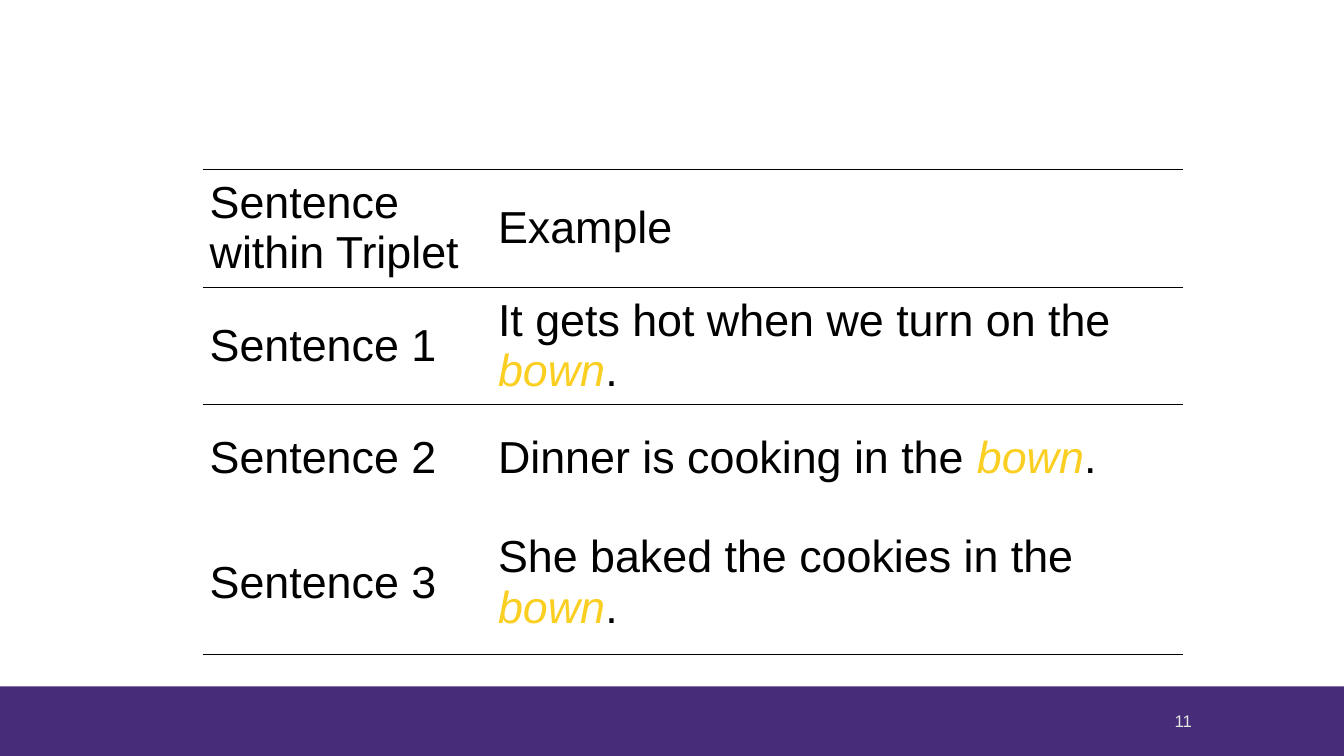
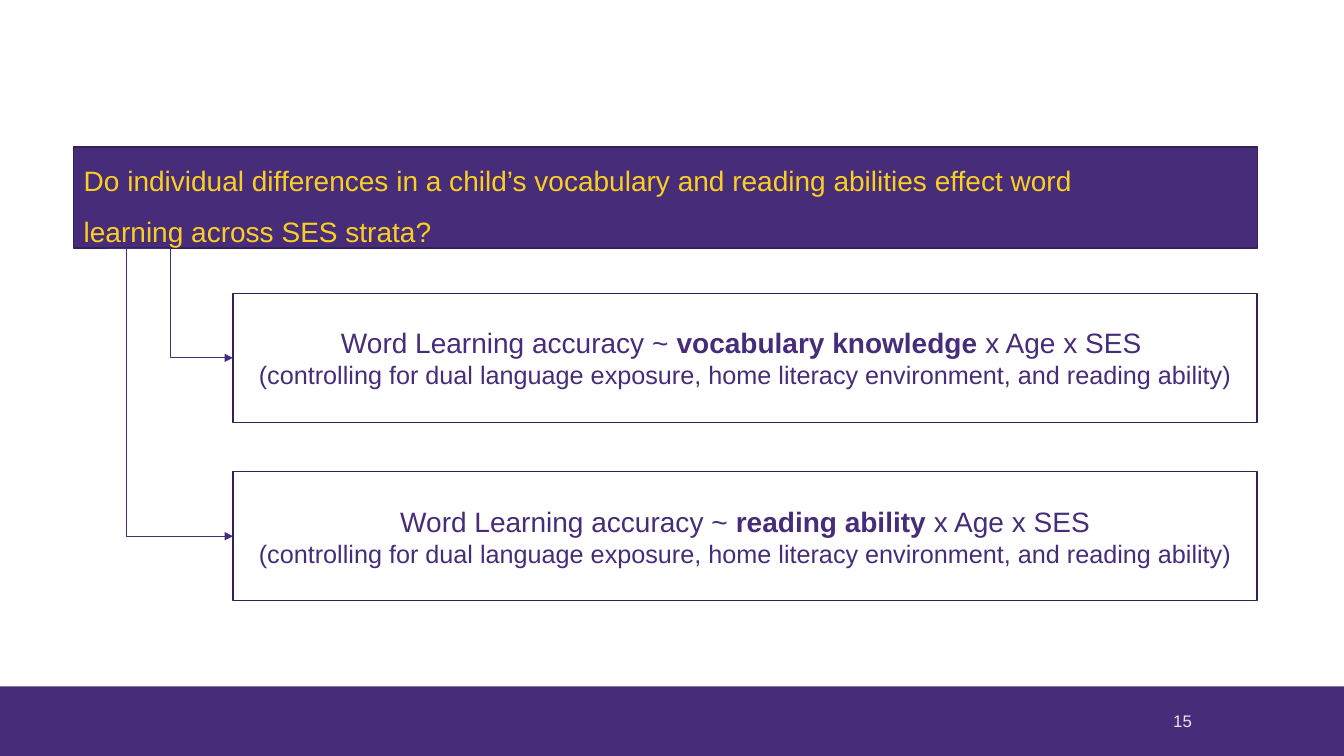
from dataclasses import dataclass

from pptx import Presentation
from pptx.dml.color import RGBColor
from pptx.enum import shapes, text
from pptx.oxml import parse_xml
from pptx.oxml.ns import nsdecls, qn
from pptx.util import Inches, Pt

PURPLE = RGBColor(0x46, 0x2C, 0x79)
DARK_PURPLE = RGBColor(0x34, 0x21, 0x5A)
GOLD = RGBColor(0xFB, 0xCF, 0x22)
PALE_GREY = RGBColor(0xE7, 0xE6, 0xE6)
BLACK = RGBColor(0, 0, 0)
WHITE = RGBColor(0xFF, 0xFF, 0xFF)

FONT = "Arial"
SLIDE_WIDTH, SLIDE_HEIGHT = 13.33, 7.5
BAND_TOP = 6.81
TITLE_ONLY, BLANK = 5, 6
NO_GRID_STYLE = "{2D5ABB26-0587-4C30-8999-92F81FD0307C}"


@dataclass
class Box:
    left: float
    top: float
    width: float
    height: float

    @property
    def right(self) -> float:
        return self.left + self.width

    @property
    def bottom(self) -> float:
        return self.top + self.height

    @property
    def middle(self) -> float:
        return self.top + self.height / 2

    def lengths(self) -> list:
        return [Inches(v) for v in (self.left, self.top, self.width, self.height)]


@dataclass
class Run:
    words: str
    size: float
    color: RGBColor
    bold: bool = False
    italic: bool = False


@dataclass
class Model:
    predictor: str
    ending: str
    drop: float  # horizontal place of the arrow's vertical part


# Shared drawing
def set_all(target, values: dict) -> None:
    for name, value in values.items():
        setattr(target, name, value)


def add_runs(paragraph, runs: list[Run]) -> None:
    for item in runs:
        run = paragraph.add_run()
        run.text = item.words
        set_all(run.font, {"name": FONT, "size": Pt(item.size),
                           "bold": item.bold, "italic": item.italic})
        run.font.color.rgb = item.color


def style_shape(shape, fill: RGBColor, line: RGBColor | None = None) -> None:
    shape.fill.solid()
    shape.fill.fore_color.rgb = fill
    if line is None:
        shape.line.fill.background()
    else:
        shape.line.color.rgb = line
        shape.line.width = Pt(1)


def add_rectangle(slide, box: Box, fill: RGBColor, line: RGBColor | None = None):
    rectangle = slide.shapes.add_shape(shapes.MSO_SHAPE.RECTANGLE, *box.lengths())
    rectangle.shadow.inherit = False
    style_shape(rectangle, fill, line)
    return rectangle


def add_footer(slide, number: str) -> None:
    add_rectangle(slide, Box(0, BAND_TOP, SLIDE_WIDTH, SLIDE_HEIGHT - BAND_TOP), PURPLE)
    frame = slide.shapes.add_textbox(*Box(8.92, 6.95, 3, 0.4).lengths()).text_frame
    set_all(frame, {"word_wrap": True, "vertical_anchor": text.MSO_ANCHOR.MIDDLE})
    frame.paragraphs[0].alignment = text.PP_ALIGN.RIGHT
    add_runs(frame.paragraphs[0], [Run(number, 12, PALE_GREY)])


# Table of example sentences
def add_border(cell, side: str) -> None:
    border = parse_xml(
        f'<a:{side} {nsdecls("a")} w="6350"><a:solidFill><a:srgbClr val="{BLACK}"/>'
        f"</a:solidFill></a:{side}>")
    properties = cell._tc.get_or_add_tcPr()
    position = 1 if side == "lnB" and properties.find(qn("a:lnT")) is not None else 0
    properties.insert(position, border)


def fill_cell(cell, runs: list[Run]) -> None:
    set_all(cell, {"vertical_anchor": text.MSO_ANCHOR.MIDDLE,
                   "margin_left": Inches(0.07), "margin_right": Inches(0.07),
                   "margin_top": Inches(0.05), "margin_bottom": Inches(0.05)})
    cell.fill.background()
    add_runs(cell.text_frame.paragraphs[0], runs)


def build_sentence_slide(deck) -> None:
    slide = deck.slides.add_slide(deck.slide_layouts[BLANK])
    add_footer(slide, "11")

    size = 32
    rows = [[[Run("Sentence within Triplet", size, BLACK)], [Run("Example", size, BLACK)]]]
    openings = ["It gets hot when we turn on the ", "Dinner is cooking in the ",
                "She baked the cookies in the "]
    for number, opening in enumerate(openings, start=1):
        rows.append([
            [Run(f"Sentence {number}", size, BLACK)],
            [Run(opening, size, BLACK), Run("bown", size, GOLD, italic=True),
             Run(".", size, BLACK)],
        ])

    widths, heights = [2.86, 6.86], [1.05, 1.05, 1.05, 1.43]
    area = Box(2.01, 1.68, sum(widths), sum(heights))
    table = slide.shapes.add_table(len(rows), len(widths), *area.lengths()).table
    set_all(table, {"first_row": False, "horz_banding": False})
    table._tbl.tblPr.find(qn("a:tableStyleId")).text = NO_GRID_STYLE
    for column, width in zip(table.columns, widths):
        column.width = Inches(width)
    for row, height in zip(table.rows, heights):
        row.height = Inches(height)

    last = len(rows) - 1
    for r, row in enumerate(rows):
        for c, runs in enumerate(row):
            cell = table.cell(r, c)
            fill_cell(cell, runs)
            if r in (0, 1):
                add_border(cell, "lnT")
            if r in (0, last):
                add_border(cell, "lnB")


# Research question and its models
def add_question(slide, box: Box) -> None:
    question = slide.shapes.title
    set_all(question, dict(zip(("left", "top", "width", "height"), box.lengths())))
    style_shape(question, PURPLE, DARK_PURPLE)
    frame = question.text_frame
    set_all(frame, {"word_wrap": True, "auto_size": text.MSO_AUTO_SIZE.NONE,
                    "vertical_anchor": text.MSO_ANCHOR.MIDDLE,
                    "margin_left": Inches(0.1), "margin_right": Inches(0.93),
                    "margin_top": 0, "margin_bottom": 0})
    paragraph = frame.paragraphs[0]
    set_all(paragraph, {"alignment": text.PP_ALIGN.LEFT, "line_spacing": 1.5,
                        "space_before": Pt(0)})
    add_runs(paragraph, [Run("Do individual differences in a child’s vocabulary and reading "
                             "abilities effect word learning across SES strata?", 20, GOLD)])


def add_model(slide, box: Box, model: Model) -> None:
    frame = add_rectangle(slide, box, WHITE, DARK_PURPLE).text_frame
    set_all(frame, {"word_wrap": True, "vertical_anchor": text.MSO_ANCHOR.MIDDLE})
    formula, controls = frame.paragraphs[0], frame.add_paragraph()
    for paragraph in (formula, controls):
        paragraph.alignment = text.PP_ALIGN.CENTER
    add_runs(formula, [Run("Word Learning accuracy ~ ", 20, PURPLE),
                       Run(model.predictor, 20, PURPLE, bold=True),
                       Run(model.ending, 20, PURPLE)])
    add_runs(controls, [Run("(controlling for dual language exposure, home literacy "
                            "environment, and reading ability)", 18, PURPLE)])


def add_elbow_arrow(slide, question: Box, target: Box, drop: float) -> None:
    start = 1.07
    arrow = slide.shapes.add_connector(
        shapes.MSO_CONNECTOR.ELBOW, Inches(start), Inches(question.bottom),
        Inches(target.left), Inches(target.middle))
    arrow.line.color.rgb = PURPLE
    arrow.line.width = Pt(0.5)
    arrow.line._get_or_add_ln().append(
        parse_xml(f'<a:tailEnd {nsdecls("a")} type="triangle"/>'))
    properties = arrow._element.spPr
    properties.append(parse_xml(f'<a:effectLst {nsdecls("a")}/>'))
    # The bend is a share of the arrow's width, in 1/100000
    bend = round((drop - start) / (target.left - start) * 100000)
    guides = properties.find(qn("a:prstGeom")).get_or_add_avLst()
    guides.append(parse_xml(f'<a:gd {nsdecls("a")} name="adj1" fmla="val {bend}"/>'))


def build_question_slide(deck) -> None:
    slide = deck.slides.add_slide(deck.slide_layouts[TITLE_ONLY])
    add_footer(slide, "15")

    question = Box(0.73, 1.46, 11.74, 1)
    add_question(slide, question)

    models = [Model("vocabulary knowledge ", "x Age x SES ", 1.69),
              Model("reading ability ", "x Age x SES", 1.25)]
    left, first_top, pitch = 2.31, 2.91, 1.77
    for index, model in enumerate(models):
        box = Box(left, first_top + index * pitch, question.right - left, 1.28)
        add_model(slide, box, model)
        add_elbow_arrow(slide, question, box, model.drop)


def main() -> None:
    deck = Presentation()
    deck.slide_width, deck.slide_height = Inches(SLIDE_WIDTH), Inches(SLIDE_HEIGHT)
    build_sentence_slide(deck)
    build_question_slide(deck)
    deck.save("out.pptx")


if __name__ == "__main__":
    main()
